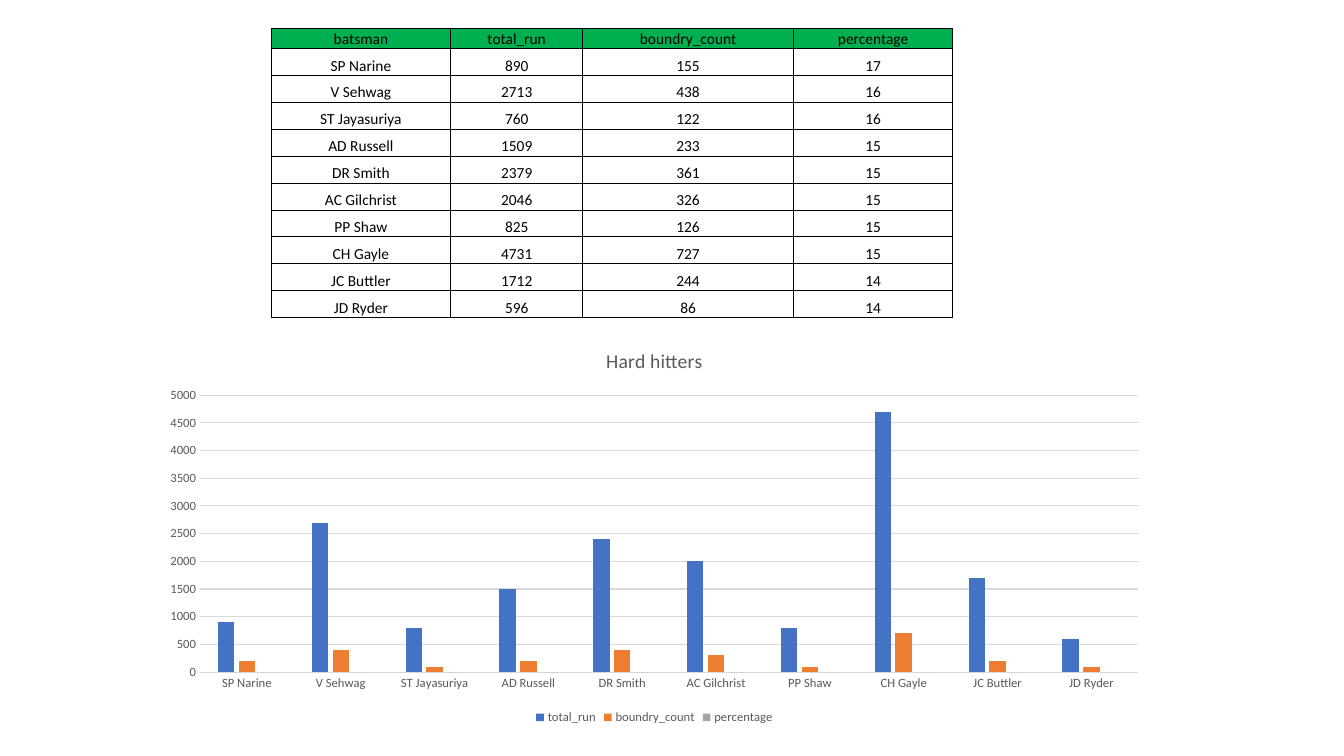
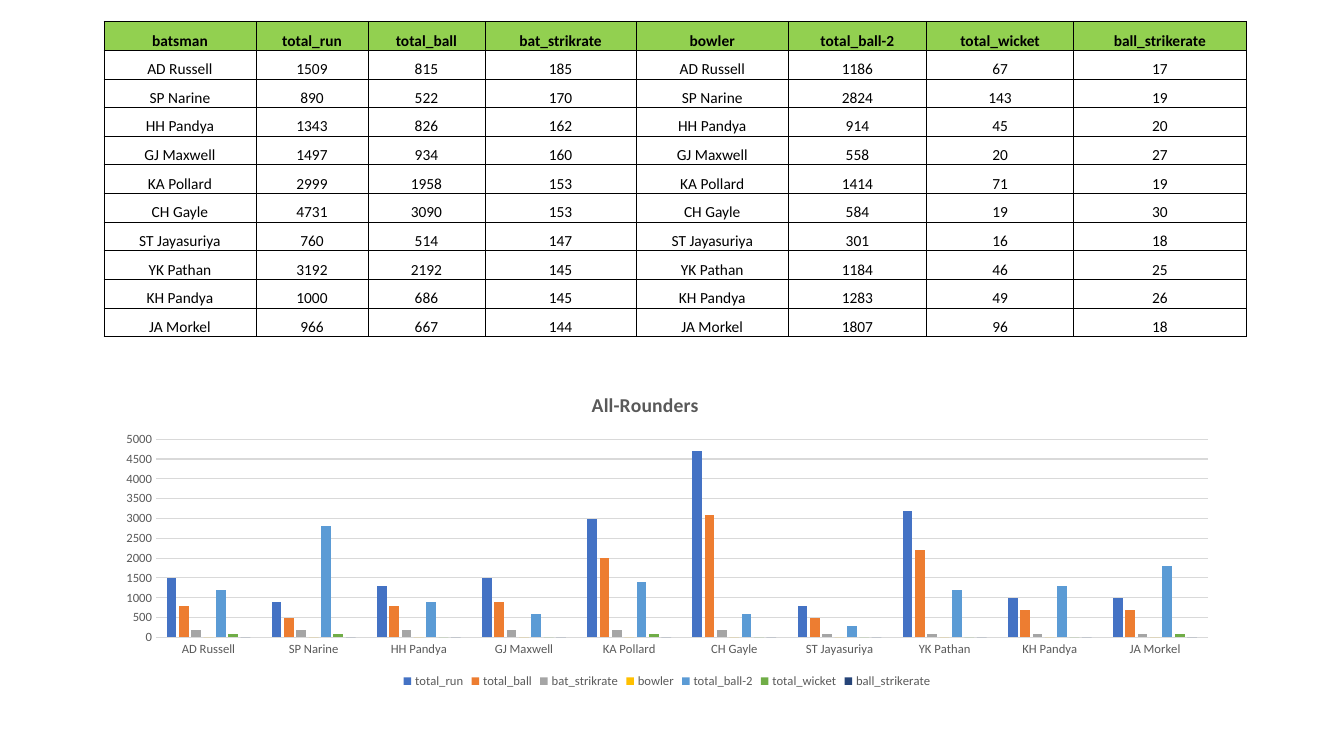
from lxml.etree import SubElement
from pptx import Presentation
from pptx.chart.data import CategoryChartData
from pptx.dml.color import RGBColor
from pptx.enum.chart import XL_CHART_TYPE as ChartType
from pptx.enum.chart import XL_LEGEND_POSITION as LegendPosition
from pptx.enum.chart import XL_TICK_MARK as TickMark
from pptx.enum.text import MSO_ANCHOR as Anchor
from pptx.enum.text import PP_ALIGN as Align
from pptx.oxml import parse_xml
from pptx.oxml.ns import nsdecls, qn
from pptx.util import Inches, Pt

HARD_HITTERS = [
    ("batsman", "total_run", "boundry_count", "percentage"),
    ("SP Narine", 890, 155, 17),
    ("V Sehwag", 2713, 438, 16),
    ("ST Jayasuriya", 760, 122, 16),
    ("AD Russell", 1509, 233, 15),
    ("DR Smith", 2379, 361, 15),
    ("AC Gilchrist", 2046, 326, 15),
    ("PP Shaw", 825, 126, 15),
    ("CH Gayle", 4731, 727, 15),
    ("JC Buttler", 1712, 244, 14),
    ("JD Ryder", 596, 86, 14),
]

ALL_ROUNDERS = [
    ("batsman", "total_run", "total_ball", "bat_strikrate",
     "bowler", "total_ball-2", "total_wicket", "ball_strikerate"),
    ("AD Russell", 1509, 815, 185, "AD Russell", 1186, 67, 17),
    ("SP Narine", 890, 522, 170, "SP Narine", 2824, 143, 19),
    ("HH Pandya", 1343, 826, 162, "HH Pandya", 914, 45, 20),
    ("GJ Maxwell", 1497, 934, 160, "GJ Maxwell", 558, 20, 27),
    ("KA Pollard", 2999, 1958, 153, "KA Pollard", 1414, 71, 19),
    ("CH Gayle", 4731, 3090, 153, "CH Gayle", 584, 19, 30),
    ("ST Jayasuriya", 760, 514, 147, "ST Jayasuriya", 301, 16, 18),
    ("YK Pathan", 3192, 2192, 145, "YK Pathan", 1184, 46, 25),
    ("KH Pandya", 1000, 686, 145, "KH Pandya", 1283, 49, 26),
    ("JA Morkel", 966, 667, 144, "JA Morkel", 1807, 96, 18),
]


def color(value):
    return RGBColor.from_string(value)


def chart_value(value):
    return 0 if isinstance(value, str) else round(value, -2)


class Deck:
    FONT = "Calibri"
    INK = "000000"
    MUTED = "595959"
    GRID = "D9D9D9"
    SERIES = ("4472C4", "ED7D31", "A5A5A5", "FFC000", "5B9BD5", "70AD47", "264478")

    def __init__(self):
        self.presentation = Presentation()
        self.presentation.slide_width = Inches(13.33)
        self.presentation.slide_height = Inches(7.5)
        self.slide = None

    def add_slide(self):
        blank = self.presentation.slide_layouts[6]
        self.slide = self.presentation.slides.add_slide(blank)

    def style_font(self, font, size, ink, bold=False):
        font.name = self.FONT
        font.size = Pt(size)
        font.bold = bold
        font.color.rgb = color(ink)

    def style_line(self, line):
        line.color.rgb = color(self.GRID)
        line.width = Pt(0.75)

    def add_borders(self, cell):
        properties = cell._tc.get_or_add_tcPr()
        for side in ("a:lnL", "a:lnR", "a:lnT", "a:lnB"):
            border = SubElement(properties, qn(side), w=str(Pt(0.5)))
            fill = SubElement(border, qn("a:solidFill"))
            SubElement(fill, qn("a:srgbClr"), val=self.INK)

    def fill_cell(self, cell, value, bold):
        cell.margin_left = cell.margin_right = cell.margin_top = Inches(0.01)
        cell.margin_bottom = 0
        cell.vertical_anchor = Anchor.BOTTOM
        cell.text_frame.text = str(value)
        paragraph = cell.text_frame.paragraphs[0]
        paragraph.alignment = Align.CENTER
        self.style_font(paragraph.runs[0].font, 11, self.INK, bold)
        self.add_borders(cell)

    def add_table(self, rows, left, top, height, widths, header_height, header_fill, bold):
        table = self.slide.shapes.add_table(
            len(rows), len(widths), Inches(left), Inches(top),
            Inches(sum(widths)), Inches(height)).table
        table.first_row = table.horz_banding = False
        for column, width in zip(table.columns, widths):
            column.width = Inches(width)
        body_height = (height - header_height) / (len(rows) - 1)
        for index, values in enumerate(rows):
            is_header = index == 0
            table.rows[index].height = Inches(header_height if is_header else body_height)
            for cell, value in zip(table.rows[index].cells, values):
                self.fill_cell(cell, value, bold and is_header)
                if is_header:
                    cell.fill.solid()
                    cell.fill.fore_color.rgb = color(header_fill)
                else:
                    cell.fill.background()

    def add_chart(self, rows, title, left, top, width, height, bold, title_place=None):
        header, *body = rows
        data = CategoryChartData()
        data.categories = [row[0] for row in body]
        for index, name in enumerate(header[1:], 1):
            data.add_series(name, [chart_value(row[index]) for row in body])
        chart = self.slide.shapes.add_chart(
            ChartType.COLUMN_CLUSTERED, Inches(left), Inches(top),
            Inches(width), Inches(height), data).chart
        self.style_font(chart.font, 10, self.INK)
        self.add_chart_title(chart, title, bold, title_place)
        chart.has_legend = True
        chart.legend.position = LegendPosition.BOTTOM
        chart.legend.include_in_layout = False
        self.style_font(chart.legend.font, 9, self.MUTED)
        self.style_axes(chart)
        plot = chart.plots[0]
        plot.vary_by_categories = False
        plot.gap_width = 219
        plot.overlap = -27
        for series, fill in zip(plot.series, self.SERIES):
            series.format.fill.solid()
            series.format.fill.fore_color.rgb = color(fill)

    def add_chart_title(self, chart, title, bold, place):
        chart.has_title = True
        chart.chart_title.include_in_layout = False
        paragraph = chart.chart_title.text_frame.paragraphs[0]
        paragraph.text = title
        self.style_font(paragraph.runs[0].font, 14, self.MUTED, bold)
        if place:
            element = chart.chart_title._element
            for layout in element.findall(qn("c:layout")):
                element.remove(layout)
            x, y = place
            element.find(qn("c:tx")).addnext(parse_xml(
                f'<c:layout {nsdecls("c")}><c:manualLayout>'
                '<c:xMode val="edge"/><c:yMode val="edge"/>'
                f'<c:x val="{x}"/><c:y val="{y}"/>'
                '</c:manualLayout></c:layout>'))

    def style_axes(self, chart):
        for axis in (chart.category_axis, chart.value_axis):
            axis.major_tick_mark = axis.minor_tick_mark = TickMark.NONE
            self.style_font(axis.tick_labels.font, 9, self.MUTED)
        self.style_line(chart.category_axis.format.line)
        value_axis = chart.value_axis
        value_axis.format.line.fill.background()
        value_axis.minimum_scale = 0
        value_axis.maximum_scale = 5000
        value_axis.major_unit = 500
        value_axis.has_major_gridlines = True
        self.style_line(value_axis.major_gridlines.format.line)


def main():
    deck = Deck()

    deck.add_slide()
    deck.add_table(HARD_HITTERS, 2.69, 0.28, 2.87, (1.78, 1.31, 2.09, 1.58),
                   header_height=0.2, header_fill="00B050", bold=False)
    deck.add_chart(HARD_HITTERS, "Hard hitters", 1.49, 3.28, 10, 3.95, bold=False)

    deck.add_slide()
    deck.add_table(ALL_ROUNDERS, 1.03, 0.21, 3.13,
                   (1.51, 1.11, 1.16, 1.5, 1.51, 1.37, 1.46, 1.71),
                   header_height=0.29, header_fill="92D050", bold=True)
    deck.add_chart(ALL_ROUNDERS, "All-Rounders", 1.03, 3.75, 11.17, 3.12,
                   bold=True, title_place=(0.43, 0.03))

    deck.presentation.save("out.pptx")


if __name__ == "__main__":
    main()
